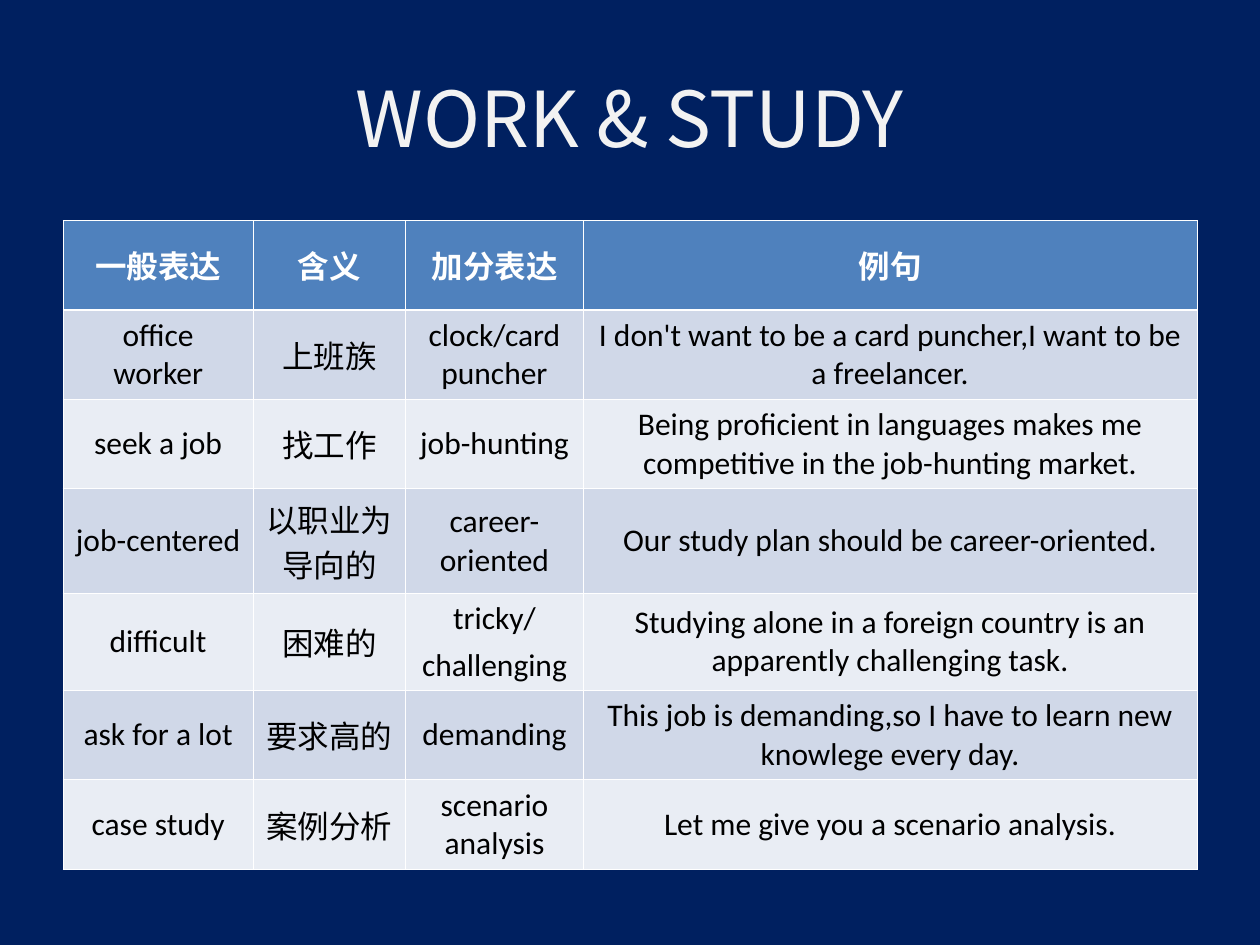
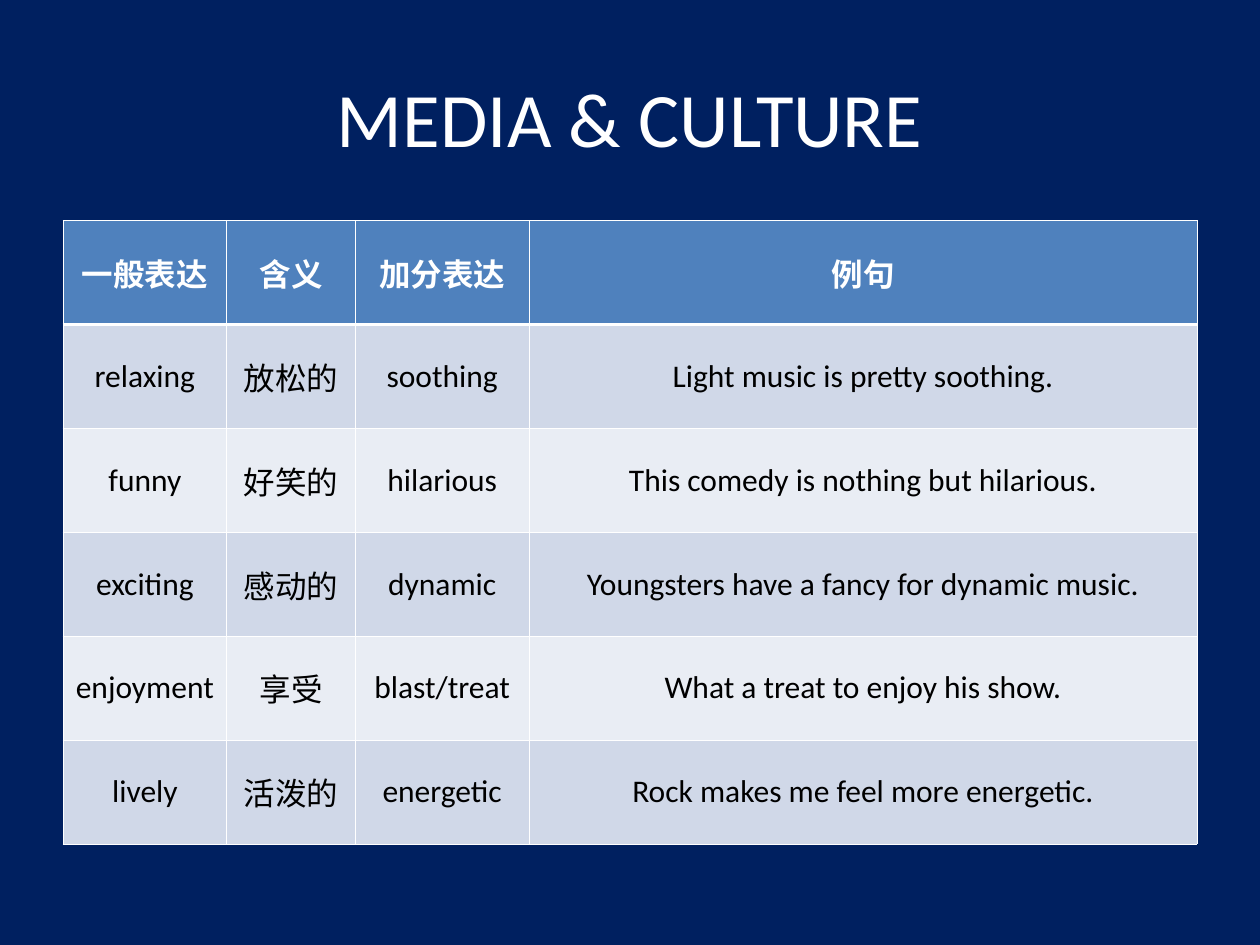
from dataclasses import dataclass
from itertools import product

from lxml import etree
from pptx import Presentation
from pptx import util as u
from pptx.dml.color import RGBColor
from pptx.enum import text
from pptx.oxml import ns


@dataclass(frozen=True)
class Theme:
    """Colours, fonts and type sizes shared by the slides."""
    back: str = "002060"
    head: str = "4F81BD"
    bands: tuple = ("D0D8E8", "E9EDF4")
    white: str = "FFFFFF"
    pale: str = "F2F2F2"
    ink: str = "000000"
    latin: str = "Calibri"
    asian: str = "Noto Sans CJK SC"
    title: float = 44
    body: float = 18
    gap: float = 4.5
    thin: float = 0.45
    thick: float = 1.47


LOOK = Theme()
TITLE = (0.5, 0.3, 9, 1.25)
GRID = (0.5, 1.75, 9)
HEADS = ("一般表达", "含义", "加分表达", "例句")

WORK = (
    ("office worker", "上班族", "clock/card puncher",
     "I don't want to be a card puncher,I want to be a freelancer."),
    ("seek a job", "找工作", "job-hunting",
     "Being proficient in languages makes me competitive in the job-hunting market."),
    ("job-centered", "以职业为导向的", "career-oriented",
     "Our study plan should be career-oriented."),
    ("difficult", "困难的", "tricky/\nchallenging",
     "Studying alone in a foreign country is an apparently challenging task."),
    ("ask for a lot", "要求高的", "demanding",
     "This job is demanding,so I have to learn new knowlege every day."),
    ("case study", "案例分析", "scenario analysis",
     "Let me give you a scenario analysis."),
)
MEDIA = (
    ("relaxing", "放松的", "soothing", "Light music is pretty soothing."),
    ("funny", "好笑的", "hilarious", "This comedy is nothing but hilarious."),
    ("exciting", "感动的", "dynamic", "Youngsters have a fancy for dynamic music."),
    ("enjoyment", "享受", "blast/treat", "What a treat to enjoy his show."),
    ("lively", "活泼的", "energetic", "Rock makes me feel more energetic."),
)


def write(frame, words, size, color, font, bold=False, gap=0):
    """Fill a text frame with centred paragraphs."""
    frame.text = words
    for para in frame.paragraphs:
        para.alignment = text.PP_ALIGN.CENTER
        para.space_before = u.Pt(gap)
        for run in para.runs:
            style = {"size": u.Pt(size), "bold": bold, "name": font}
            for key, val in style.items():
                setattr(run.font, key, val)
            run.font.color.rgb = RGBColor.from_string(color)
            east = etree.SubElement(run.font._element, ns.qn("a:ea"))
            east.set("typeface", LOOK.asian)


def edge(cell, side, width):
    """Draw a white line on one side of a cell."""
    props = cell._tc.get_or_add_tcPr()
    line = etree.SubElement(props, ns.qn(f"a:ln{side}"), w=str(int(u.Pt(width))))
    fill = etree.SubElement(line, ns.qn("a:solidFill"))
    etree.SubElement(fill, ns.qn("a:srgbClr"), val=LOOK.white)


def title(slide, box, words, color, font):
    """Place the slide title in its box."""
    frame = slide.shapes.add_textbox(*map(u.Inches, box)).text_frame
    frame.word_wrap = True
    frame.vertical_anchor = text.MSO_ANCHOR.MIDDLE
    write(frame, words, LOOK.title, color, font)


def grid(slide, box, rows, cols, highs):
    """Place a table of expressions with a header and banded rows."""
    rows = (HEADS, *rows)
    size = (*box, sum(highs))
    table = slide.shapes.add_table(len(rows), len(cols), *map(u.Inches, size)).table
    for col, wide in zip(table.columns, cols):
        col.width = u.Inches(wide)
    for row, high in zip(table.rows, highs):
        row.height = u.Inches(high)
    for r, c in product(range(len(rows)), range(len(cols))):
        cell, top = table.cell(r, c), r == 0
        cell.vertical_anchor = text.MSO_ANCHOR.MIDDLE
        for side in "LRTB":
            heavy = (r, side) in ((0, "B"), (1, "T"))
            edge(cell, side, LOOK.thick if heavy else LOOK.thin)
        cell.fill.solid()
        shade = LOOK.head if top else LOOK.bands[(r - 1) % 2]
        cell.fill.fore_color.rgb = RGBColor.from_string(shade)
        write(cell.text_frame, rows[r][c], LOOK.body,
              LOOK.white if top else LOOK.ink, LOOK.latin, top, LOOK.gap)


def page(deck, words, color, font, rows, cols, highs):
    """Add a slide with a title above a table."""
    slide = deck.slides.add_slide(deck.slide_layouts[6])
    slide.background.fill.solid()
    slide.background.fill.fore_color.rgb = RGBColor.from_string(LOOK.back)
    title(slide, TITLE, words, color, font)
    grid(slide, GRID, rows, cols, highs)


def main():
    """Build and save the deck."""
    deck = Presentation()
    deck.slide_width, deck.slide_height = u.Inches(10), u.Inches(7.5)
    page(deck, "WORK & STUDY", LOOK.pale, LOOK.asian, WORK,
         (1.51, 1.21, 1.41, 4.87), [0.71] * 3 + [0.83, 0.77] + [0.71] * 2)
    page(deck, "MEDIA & CULTURE", LOOK.white, LOOK.latin, MEDIA,
         (1.3, 1.02, 1.38, 5.3), [4.95 / 6] * 6)
    deck.save("out.pptx")


if __name__ == "__main__":
    main()
